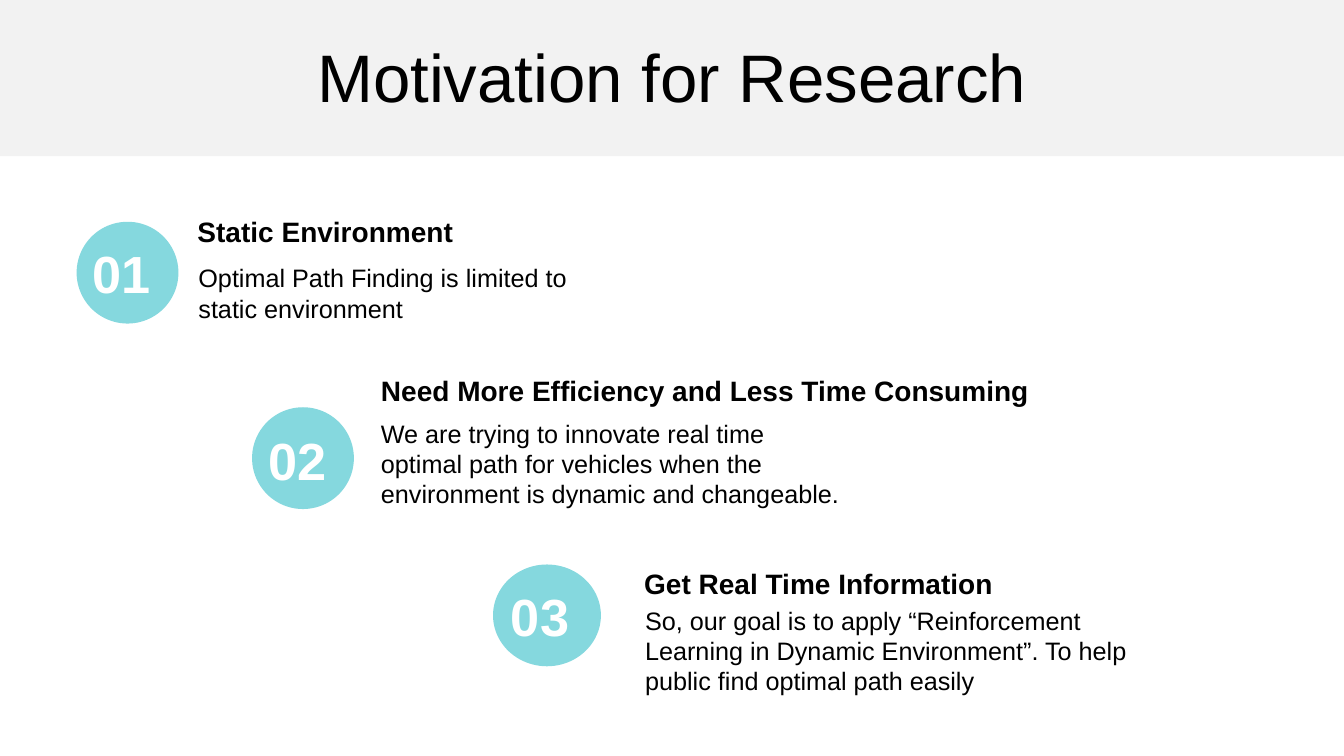
from dataclasses import dataclass

from pptx import Presentation
from pptx import util as u
from pptx.dml.color import RGBColor
from pptx.enum import shapes, text


@dataclass(frozen=True)
class Theme:
    font: str = "Arial"
    band: str = "F2F2F2"
    disc: str = "85D8DE"
    ink: str = "000000"
    pale: str = "FFFFFF"
    title: float = 48
    num: float = 37.3
    head: float = 20
    body: float = 18


THEME = Theme()
WIDE, HIGH = 13.33, 7.5
DISC = 1.01

# Each point: disc left, top and width; number offset and width;
# heading offset and width; body offset and width; then its wording.
POINTS = [
    ((0.76, 2.2, 1.01), (0.06, 0.19, 0.88), (1.1, -0.13, 4.28),
     (1.11, 0.35, 4.27, 0.71), "Static Environment",
     "Optimal Path Finding is limited to static environment"),
    ((2.5, 4.04, 1.01), (0.06, 0.2, 0.88), (1.18, -0.39, 6.85),
     (1.18, 0.05, 4.77, 1.01), "Need More Efficiency and Less Time Consuming",
     "We are trying to innovate real time optimal path for vehicles "
     "when the environment is dynamic and changeable."),
    ((4.89, 5.6, 1.07), (0.08, 0.19, 1.07), (1.4, -0.03, 5.21),
     (1.41, 0.35, 5.2, 1.01), "Get Real Time Information",
     "So, our goal is to apply “Reinforcement Learning in Dynamic "
     "Environment”. To help public find optimal path easily"),
]


def inch(box):
    return [u.Inches(n) for n in box]


def add_form(slide, kind, box, fill):
    form = slide.shapes.add_shape(kind, *inch(box))
    form.shadow.inherit = False
    form.fill.solid()
    form.fill.fore_color.rgb = RGBColor.from_string(fill)
    form.line.fill.background()


def add_text(slide, box, words, size, color=THEME.ink, bold=False,
             align=text.PP_ALIGN.LEFT, pad=0.05):
    frame = slide.shapes.add_textbox(*inch(box)).text_frame
    frame.word_wrap = True
    frame.vertical_anchor = text.MSO_ANCHOR.MIDDLE
    frame.margin_top = frame.margin_bottom = u.Inches(pad)
    line = frame.paragraphs[0]
    line.alignment = align
    run = line.add_run()
    run.text = words
    run.font.name = THEME.font
    run.font.size = u.Pt(size)
    run.font.bold = bold
    run.font.color.rgb = RGBColor.from_string(color)


def add_title(slide, box, words):
    left, top, width, height = box
    add_form(slide, shapes.MSO_SHAPE.RECTANGLE, box, THEME.band)
    add_text(slide, (left, top + 0.33, width, height - 0.71), words,
             THEME.title, align=text.PP_ALIGN.CENTER)


def add_point(slide, index, disc, num, head, body, title, words):
    """Place a numbered disc with its heading and body offset from it."""
    left, top, width = disc

    def shift(dx, dy, *size):
        return (left + dx, top + dy, *size)

    add_form(slide, shapes.MSO_SHAPE.OVAL, (left, top, width, DISC), THEME.disc)
    add_text(slide, shift(*num, 0.63), f"{index:02}", THEME.num,
             color=THEME.pale, bold=True, pad=0)
    add_text(slide, shift(*body), words, THEME.body)
    add_text(slide, shift(*head, 0.44), title, THEME.head, bold=True)


def main():
    deck = Presentation()
    deck.slide_width, deck.slide_height = inch((WIDE, HIGH))
    slide = deck.slides.add_slide(deck.slide_layouts[6])
    add_title(slide, (0, 0, WIDE, 1.55), "Motivation for Research")
    for index, point in enumerate(POINTS, 1):
        add_point(slide, index, *point)
    deck.save("out.pptx")


if __name__ == "__main__":
    main()
